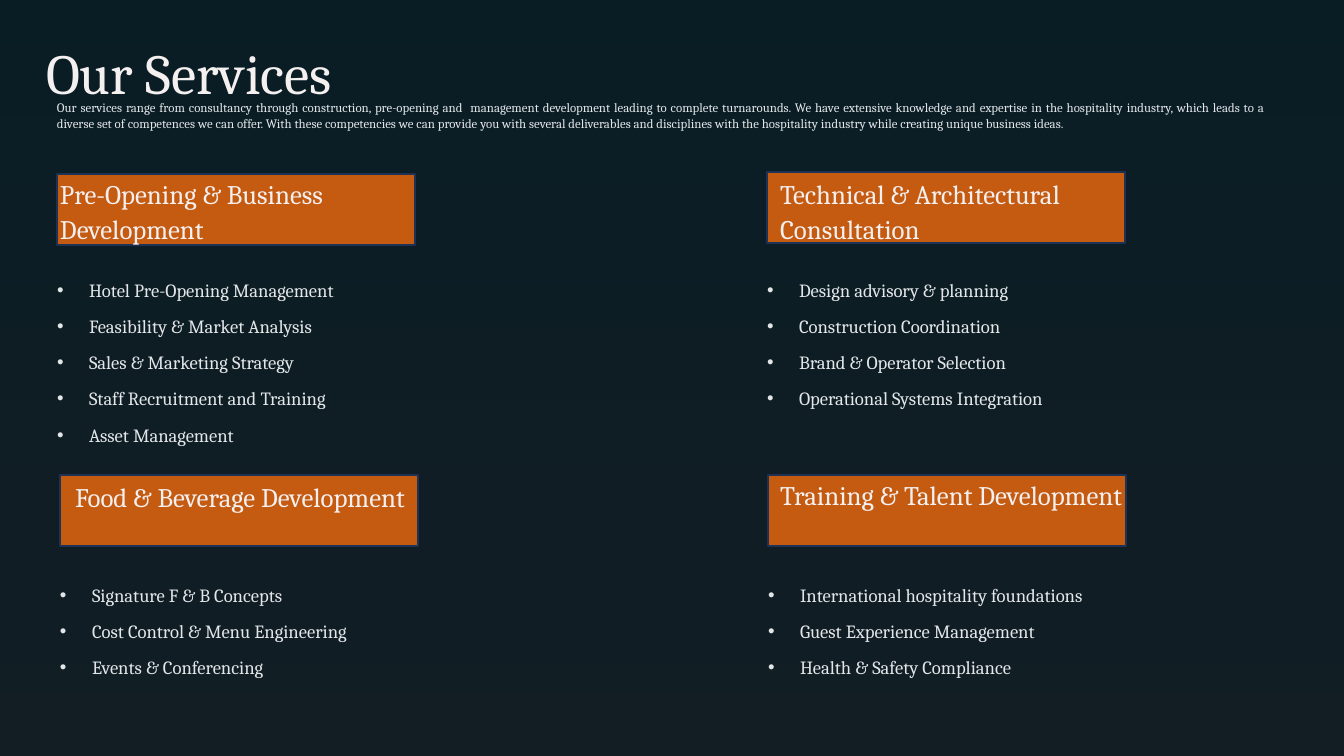
from dataclasses import dataclass

from lxml.etree import SubElement
from pptx import Presentation
from pptx.dml.color import RGBColor
from pptx.enum.shapes import MSO_SHAPE as SHAPE
from pptx.enum.text import PP_ALIGN as ALIGN
from pptx.oxml.ns import qn
from pptx.slide import Slide
from pptx.util import Emu, Pt

EMU_PER_PX = 914400 / 84
WIDTH, HEIGHT = 1344, 756
CARD_W, CARD_H = 358, 71
INDENT = 32
FONT = "Cambria"
COLORS = {
    "veil": "09151A",
    "heading": "F5F0F0",
    "body": "E2E6E9",
    "card": "C55A11",
    "border": "1E3256",
}
BACKDROP = [(0, "11C0FF"), (74, "ABC0E4"), (83, "ABC0E4"), (100, "C7D5ED")]
INTRO = (
    "Our services range from consultancy through construction, pre-opening and  "
    "management development leading to complete turnarounds. We have extensive "
    "knowledge and expertise in the hospitality industry, which leads to a diverse "
    "set of competences we can offer. With these competencies we can provide you "
    "with several deliverables and disciplines with the hospitality industry while "
    "creating unique business ideas."
)


@dataclass(frozen=True)
class Service:
    title: str
    x: int
    y: int
    title_x: int
    title_y: int
    list_y: int
    items: tuple[str, ...]


SERVICES = [
    Service("Pre-Opening & Business Development", 57, 174, 60, 175, 265, (
        "Hotel Pre-Opening Management",
        "Feasibility & Market Analysis",
        "Sales & Marketing Strategy",
        "Staff Recruitment and Training",
        "Asset Management",
    )),
    Service("Technical & Architectural Consultation", 767, 172, 780, 175, 265, (
        "Design advisory & planning",
        "Construction Coordination",
        "Brand & Operator Selection",
        "Operational Systems Integration",
    )),
    Service("Food & Beverage Development", 60, 475, 75, 478, 570, (
        "Signature F & B Concepts",
        "Cost Control & Menu Engineering",
        "Events & Conferencing",
    )),
    Service("Training & Talent Development", 768, 475, 780, 476, 570, (
        "International hospitality foundations",
        "Guest Experience Management",
        "Health & Safety Compliance",
    )),
]


def px(n: int) -> Emu:
    return Emu(round(n * EMU_PER_PX))


def rgb(name: str) -> RGBColor:
    return RGBColor.from_string(COLORS[name])


def add_text(s: Slide, lines: tuple[str, ...], x: int, y: int, w: int, h: int, *,
             size: float, color: str, spacing: float | None = None,
             align: ALIGN | None = None, bullet: bool = False) -> None:
    tf = s.shapes.add_textbox(px(x), px(y), px(w), px(h)).text_frame
    tf.word_wrap = True
    tf.margin_left = tf.margin_right = tf.margin_top = tf.margin_bottom = 0
    for i, line in enumerate(lines):
        p = tf.add_paragraph() if i else tf.paragraphs[0]
        if bullet:
            pPr = p._p.get_or_add_pPr()
            pPr.set("marL", str(px(INDENT)))
            pPr.set("indent", str(-px(INDENT)))
            SubElement(pPr, qn("a:buFont")).set("typeface", "Arial")
            SubElement(pPr, qn("a:buChar")).set("char", "•")
        if spacing:
            p.line_spacing = Pt(spacing)
        p.alignment = align
        r = p.add_run()
        r.text = line
        r.font.name = FONT
        r.font.size = Pt(size)
        r.font.color.rgb = rgb(color)


def add_rect(s: Slide, x: int, y: int, w: int, h: int, *, fill: str,
             line: str | None = None, alpha: int | None = None) -> None:
    sp = s.shapes.add_shape(SHAPE.RECTANGLE, px(x), px(y), px(w), px(h))
    sp.shadow.inherit = False
    sp.fill.solid()
    sp.fill.fore_color.rgb = rgb(fill)
    if alpha is not None:
        clr = sp._element.spPr.find(qn("a:solidFill")).find(qn("a:srgbClr"))
        SubElement(clr, qn("a:alpha")).set("val", str(alpha * 1000))
    if line:
        sp.line.color.rgb = rgb(line)
        sp.line.width = Pt(1)
    else:
        sp.line.fill.background()


def set_backdrop(s: Slide) -> None:
    fill = s.background.fill
    fill.gradient()
    fill.gradient_angle = 270
    stops = next(s._element.iter(qn("a:gsLst")))
    for gs in list(stops):
        stops.remove(gs)
    for pos, color in BACKDROP:
        gs = SubElement(stops, qn("a:gs"))
        gs.set("pos", str(pos * 1000))
        SubElement(gs, qn("a:srgbClr")).set("val", color)


def add_service(s: Slide, service: Service) -> None:
    add_rect(s, service.x, service.y, CARD_W, CARD_H, fill="card", line="border")
    add_text(s, (service.title,), service.title_x, service.title_y, CARD_W, CARD_H,
             size=23, color="heading", spacing=30)
    add_text(s, service.items, service.x, service.list_y, CARD_W, 72,
             size=16, color="body", spacing=31, bullet=True)


def main() -> None:
    prs = Presentation()
    prs.slide_width, prs.slide_height = px(WIDTH), px(HEIGHT)
    s = prs.slides.add_slide(prs.slide_layouts[6])
    set_backdrop(s)
    add_rect(s, 0, 0, WIDTH, HEIGHT, fill="veil", alpha=95)
    add_text(s, ("Our Services",), 46, 35, 567, 71,
             size=48.5, color="heading", spacing=60.5)
    add_text(s, (INTRO,), 57, 100, 1209, 116,
             size=11, color="body", align=ALIGN.JUSTIFY)
    for service in SERVICES:
        add_service(s, service)
    prs.save("out.pptx")


if __name__ == "__main__":
    main()
